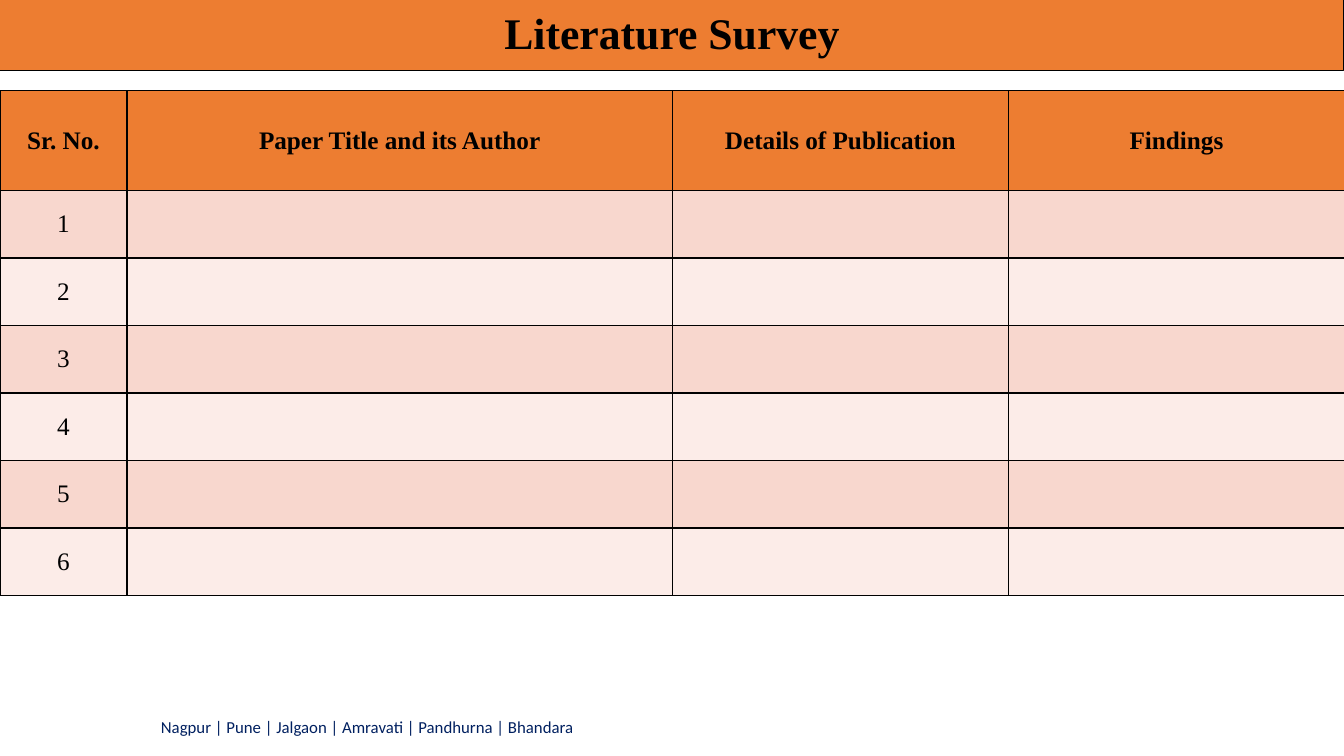
"""Build the literature survey slide with its blank six-row table."""
from lxml import etree
from pptx import Presentation
from pptx.dml.color import RGBColor
from pptx.enum.shapes import MSO_SHAPE
from pptx.enum.text import MSO_ANCHOR, PP_ALIGN
from pptx.oxml.ns import qn
from pptx.util import Inches, Pt

RECT = MSO_SHAPE.RECTANGLE
MIDDLE = MSO_ANCHOR.MIDDLE
CENTER = PP_ALIGN.CENTER
SERIF = "Times New Roman"
COLORS = {"head": "ED7D31", "odd": "F8D7CE", "even": "FCECE8",
          "ink": "000000", "navy": "002060"}
WIDTH, HEIGHT = 13.33, 7.5
HEADS = ["Sr. No.", "Paper Title and its Author",
         "Details of Publication", "Findings"]
COLS = [1.26, 5.41, WIDTH / 4, WIDTH / 4]
ROWS = [0.99] + [0.67] * 6


def write(frame, text, size, font, color, bold=False):
    frame.text = text
    para = frame.paragraphs[0]
    para.alignment = CENTER
    para.font.size = Pt(size)
    para.font.name = font
    para.font.bold = bold
    para.font.color.rgb = RGBColor.from_string(COLORS[color])
    return para


def paint(item, color):
    item.fill.solid()
    item.fill.fore_color.rgb = RGBColor.from_string(COLORS[color])


deck = Presentation()
deck.slide_width, deck.slide_height = Inches(WIDTH), Inches(HEIGHT)
slide = deck.slides.add_slide(deck.slide_layouts[6])
shapes = slide.shapes

table = shapes.add_table(len(ROWS), len(COLS), 0, Inches(0.9),
                         Inches(WIDTH), Inches(sum(ROWS))).table
for col, width in zip(table.columns, COLS):
    col.width = Inches(width)
for row, height in zip(table.rows, ROWS):
    row.height = Inches(height)

texts = [HEADS] + [[str(num), "", "", ""] for num in range(1, len(ROWS))]
for r, line in enumerate(texts):
    shade = "head" if r == 0 else ("even", "odd")[r % 2]
    for c, text in enumerate(line):
        cell = table.cell(r, c)
        cell.vertical_anchor = MIDDLE
        write(cell.text_frame, text, 18, SERIF, "ink", bold=r == 0)
        props = cell._tc.get_or_add_tcPr()
        for side in ("a:lnL", "a:lnR", "a:lnT", "a:lnB"):
            edge = etree.SubElement(props, qn(side), w=str(Pt(1)))
            fill = etree.SubElement(edge, qn("a:solidFill"))
            etree.SubElement(fill, qn("a:srgbClr"), val=COLORS["ink"])
        paint(cell, shade)

title = shapes.add_shape(RECT, 0, 0, Inches(WIDTH), Inches(0.7))
title.shadow.inherit = False
paint(title, "head")
title.line.color.rgb = RGBColor.from_string(COLORS["ink"])
title.line.width = Pt(0.75)
title.text_frame.vertical_anchor = MIDDLE
head = write(title.text_frame, "Literature Survey", 31.2, SERIF, "ink", True)
head.line_spacing = 0.9

foot = shapes.add_textbox(Inches(-1.53), Inches(6.92),
                          Inches(10.43), Inches(0.58)).text_frame
foot.word_wrap = True
foot.vertical_anchor = MIDDLE
foot.margin_right = Inches(0.18)
write(foot, "Nagpur | Pune | Jalgaon | Amravati | Pandhurna | Bhandara",
      12, "Calibri", "navy")

deck.save("out.pptx")
